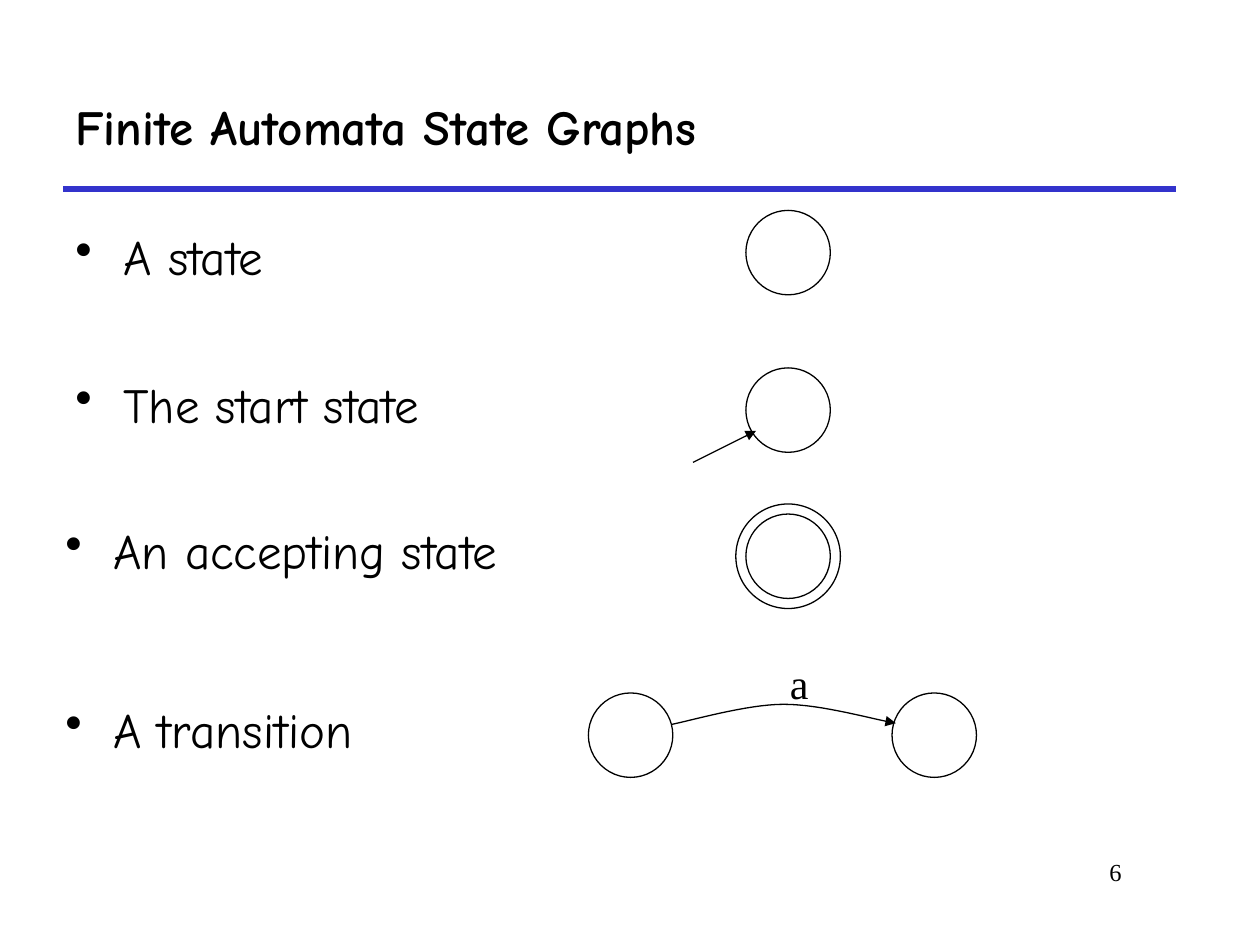
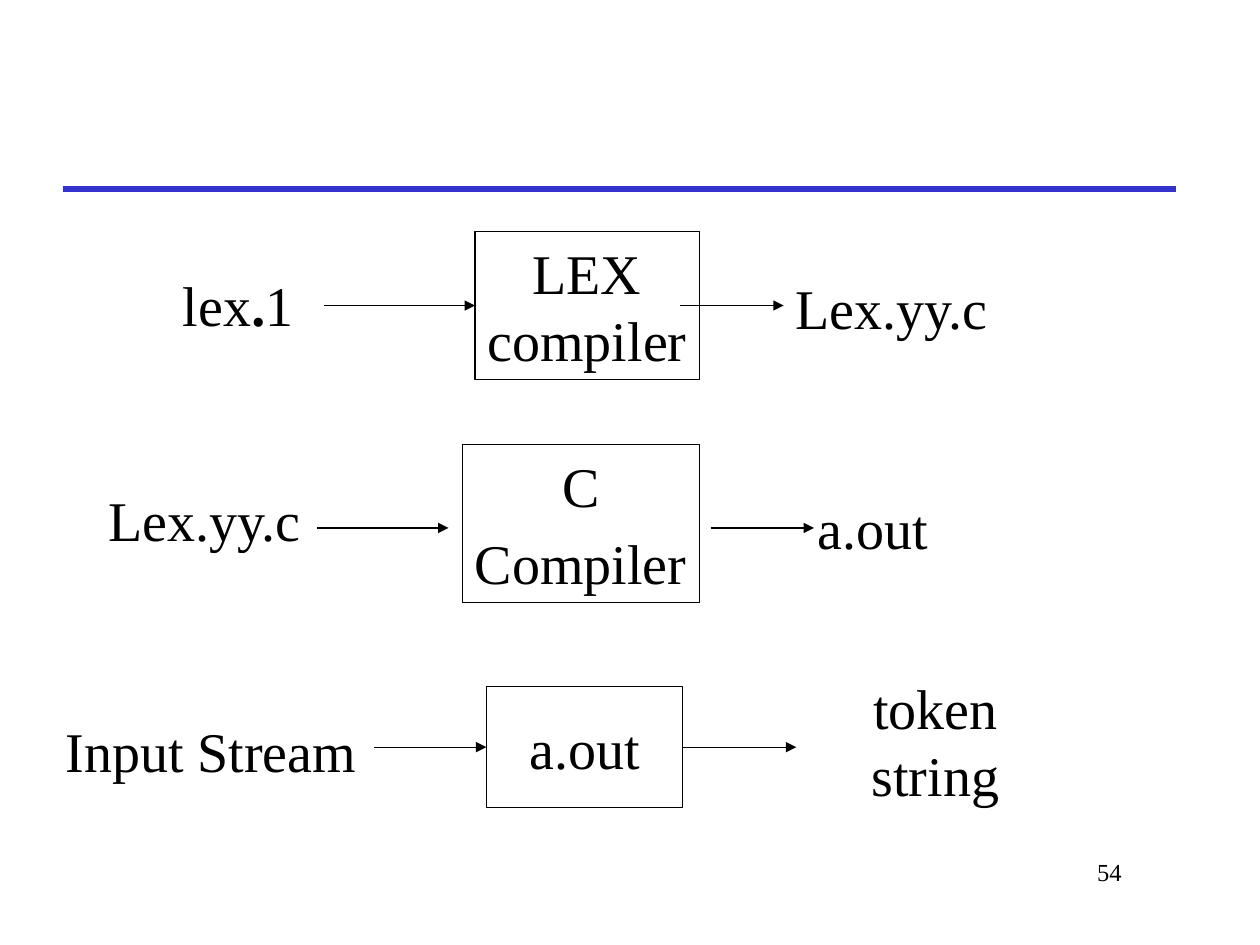
import pptx
import pptx.util
import pptx.dml.color
import pptx.enum.shapes
import pptx.enum.text
import pptx.oxml.ns
from lxml import etree

Inches = pptx.util.Inches
Pt = pptx.util.Pt
ALIGN = pptx.enum.text.PP_ALIGN
ANCHOR = pptx.enum.text.MSO_ANCHOR
SHAPE = pptx.enum.shapes.MSO_SHAPE
STRAIGHT = pptx.enum.shapes.MSO_CONNECTOR.STRAIGHT
qn = pptx.oxml.ns.qn

BLACK = pptx.dml.color.RGBColor(0x00, 0x00, 0x00)
WHITE = pptx.dml.color.RGBColor(0xFF, 0xFF, 0xFF)
RULE_BLUE = pptx.dml.color.RGBColor(0x33, 0x33, 0xCC)
HAND = "Comic Neue"
SERIF = "Times New Roman"

STATE = 0.67
RING_GAP = 0.08
LABEL_H = 0.64
CURVE_STEPS = 16


def write(tf, lines, size, font=SERIF, align=ALIGN.LEFT, anchor=ANCHOR.TOP,
          wrap=True, bold=None, before=0):
    tf.word_wrap = wrap
    tf.vertical_anchor = anchor
    for i, line in enumerate(lines):
        p = tf.paragraphs[0] if i == 0 else tf.add_paragraph()
        p.alignment = align
        p.space_before = Pt(before)
        p.font.name = font
        p.font.size = Pt(size)
        p.font.color.rgb = BLACK
        p.font.bold = bold
        for j, part in enumerate(line.split("*")):
            r = p.add_run()
            r.text = part
            if j % 2:
                r.font.bold = True


def add_text(s, x, y, w, h, text, size, **style):
    tb = s.shapes.add_textbox(Inches(x), Inches(y), Inches(w), Inches(h))
    write(tb.text_frame, [text], size, **style)
    return tb


def add_outline(s, kind, x, y, w, h):
    sp = s.shapes.add_shape(kind, Inches(x), Inches(y), Inches(w), Inches(h))
    sp.shadow.inherit = False
    sp.fill.background()
    sp.line.color.rgb = BLACK
    sp.line.width = Pt(0.75)
    return sp


def add_line(s, x1, y1, x2, y2, color=BLACK, width=0.75):
    c = s.shapes.add_connector(STRAIGHT, Inches(x1), Inches(y1), Inches(x2), Inches(y2))
    c.line.color.rgb = color
    c.line.width = Pt(width)
    etree.SubElement(c._element.spPr, qn("a:effectLst"))
    return c


def add_head(shape):
    etree.SubElement(shape.line._get_or_add_ln(), qn("a:tailEnd"), type="triangle")


def add_arrow(s, x1, y1, x2, y2):
    c = add_line(s, x1, y1, x2, y2)
    add_head(c)
    return c


def add_frame(prs, number, title=None):
    s = prs.slides.add_slide(prs.slide_layouts[6])
    s.background.fill.solid()
    s.background.fill.fore_color.rgb = WHITE
    add_line(s, 0.5, 1.5, 9.33, 1.5, RULE_BLUE, 3)
    add_text(s, 7.58, 6.75, 1.42, 0.5, str(number), 14, align=ALIGN.RIGHT)
    if title:
        add_text(s, 0.5, 0.5, 8.83, 1, title, 28, font=HAND, bold=True, anchor=ANCHOR.MIDDLE)
    return s


def add_bullet(s, x, y, text):
    tb = add_text(s, x, y, 9.08, 0.58, text, 28, font=HAND, before=7)
    pPr = tb.text_frame.paragraphs[0]._p.get_or_add_pPr()
    pPr.set("marL", str(Inches(0.38)))
    pPr.set("indent", str(-Inches(0.38)))
    bullet = etree.Element(qn("a:buChar"), char="•")
    pPr.find(qn("a:defRPr")).addprevious(bullet)


def add_state(s, x, y):
    add_outline(s, SHAPE.OVAL, x, y, STATE, STATE)


def add_start_state(s, x, y):
    add_state(s, x, y)
    add_arrow(s, x - 0.42, y + 0.75, x + 0.08, y + 0.5)


def add_accepting_state(s, x, y):
    add_state(s, x, y)
    ring = STATE + 2 * RING_GAP
    add_outline(s, SHAPE.OVAL, x - RING_GAP, y - RING_GAP, ring, ring)


def bezier(points, t):
    weights = ((1 - t) ** 3, 3 * t * (1 - t) ** 2, 3 * t * t * (1 - t), t ** 3)
    return tuple(Inches(sum(w * p[axis] for w, p in zip(weights, points))) for axis in (0, 1))


def add_transition(s, x, y):
    add_state(s, x, y)
    add_state(s, x + 2.41, y)
    curves = [
        [(0.66, 0.25), (0.81, 0.22), (1.26, 0.09), (1.55, 0.09)],
        [(1.55, 0.09), (1.85, 0.09), (2.26, 0.21), (2.44, 0.24)],
    ]
    points = [bezier([(x + dx, y + dy) for dx, dy in curve], step / CURVE_STEPS)
              for curve in curves for step in range(CURVE_STEPS + 1)]
    fb = s.shapes.build_freeform(*points[0])
    fb.add_line_segments(points[1:], close=False)
    arc = fb.convert_to_shape()
    arc.shadow.inherit = False
    arc.fill.background()
    arc.line.color.rgb = BLACK
    arc.line.width = Pt(0.75)
    add_head(arc)
    add_text(s, x + 1.5, y - 0.33, 0.35, 0.5, "a", 24, wrap=False)


def add_stage(s, x, y, w, h, lines, source, product, arrow_dy=None, before=0):
    box = add_outline(s, SHAPE.RECTANGLE, x, y, w, h)
    box.fill.solid()
    box.fill.fore_color.rgb = WHITE
    write(box.text_frame, lines, 32, align=ALIGN.CENTER, anchor=ANCHOR.MIDDLE,
          wrap=False, before=before)
    arrow_y = y + (arrow_dy or h / 2)
    for text, dx, dy, label_w, start, end in (source, product):
        add_text(s, x + dx, y + dy, label_w, LABEL_H, text, 32, align=ALIGN.CENTER,
                 anchor=ANCHOR.MIDDLE, wrap=False)
        arrow = add_arrow(s, x + start, arrow_y, x + end, arrow_y)
        if end == 0:
            arrow.end_connect(box, 1)
        if start == w:
            arrow.begin_connect(box, 3)


def build_state_graphs(prs):
    s = add_frame(prs, 6, "Finite Automata State Graphs")
    rows = [
        ("A state", 0.5, 1.75, add_state, 5.92, 1.67),
        ("The start state", 0.5, 2.92, add_start_state, 5.92, 2.92),
        ("An accepting state", 0.42, 4.08, add_accepting_state, 5.92, 4.08),
        ("A transition", 0.42, 5.5, add_transition, 4.67, 5.5),
    ]
    for text, text_x, text_y, draw, x, y in rows:
        add_bullet(s, text_x, text_y, text)
        draw(s, x, y)


def build_lex_pipeline(prs):
    s = add_frame(prs, 54)
    add_stage(s, 3.77, 1.84, 1.78, 1.17, ["LEX", "compiler"],
              ("lex*.*1", -2.42, 0.25, 1.08, -1.2, 0),
              ("Lex.yy.c", 2.43, 0.28, 1.75, 1.63, 2.45))
    add_stage(s, 3.67, 3.53, 1.88, 1.25, ["C", "Compiler"],
              ("Lex.yy.c", -2.92, 0.27, 1.75, -1.15, -0.11),
              ("a.out", 2.72, 0.33, 1.08, 1.97, 2.79), arrow_dy=0.66, before=6)
    add_stage(s, 3.86, 5.45, 1.56, 0.96, ["a.out"],
              ("Input Stream", -3.44, 0.18, 2.51, -0.89, 0),
              ("token string", 2.41, 0.11, 2.31, 1.56, 2.46))


def main():
    prs = pptx.Presentation()
    prs.slide_width = Inches(10)
    prs.slide_height = Inches(7.5)
    build_state_graphs(prs)
    build_lex_pipeline(prs)
    prs.save("out.pptx")


if __name__ == "__main__":
    main()
